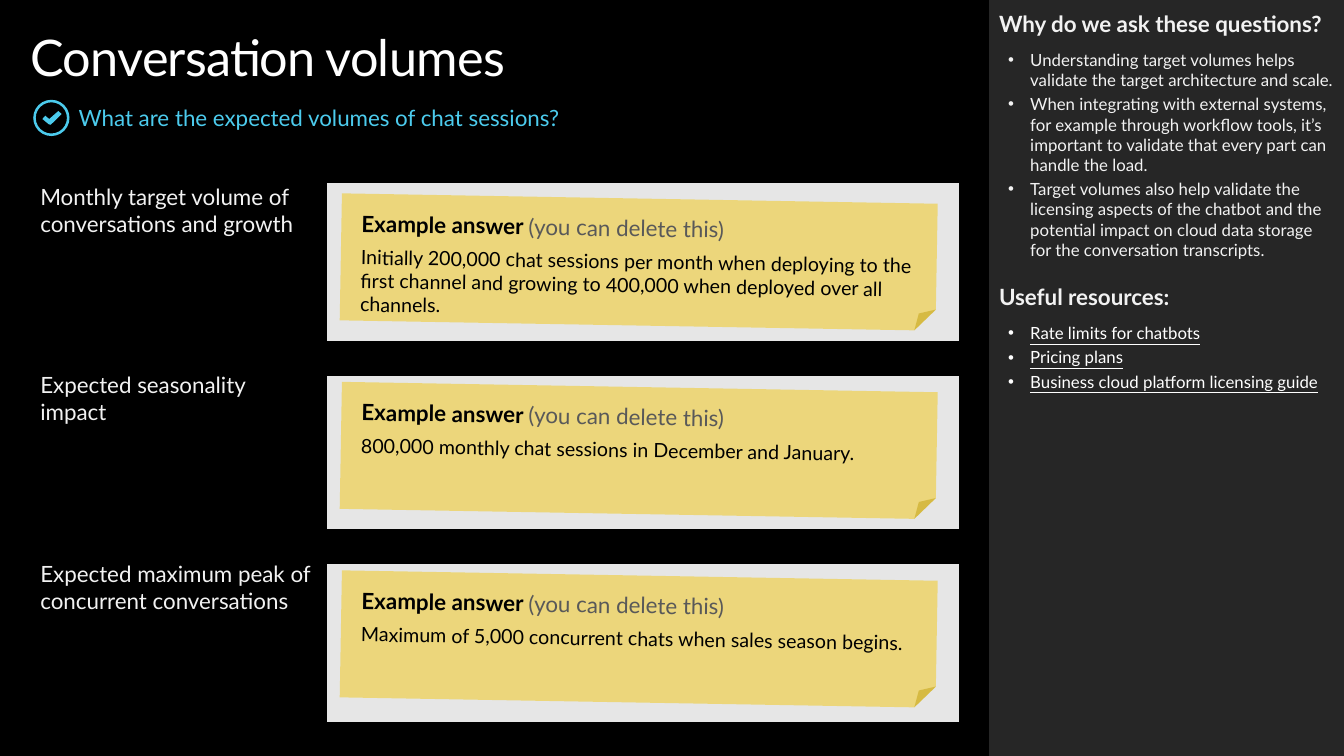
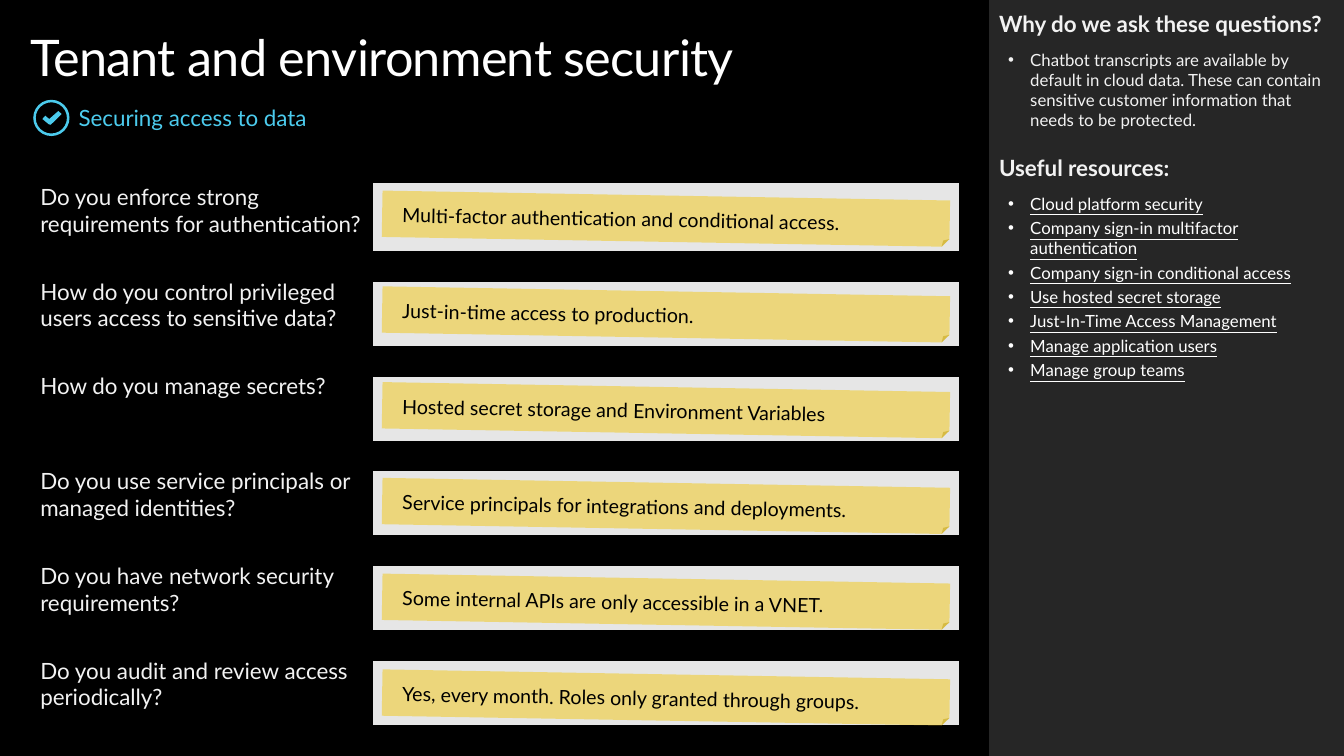
from pptx import Presentation
from pptx import util as u
from pptx.dml.color import RGBColor
from pptx.enum import shapes, text
from pptx.oxml import parse_xml
from pptx.oxml.ns import nsdecls, qn

FONT = "Lato"
BLACK, WHITE, PALE = "000000", "FFFFFF", "F2F2F2"
PANEL, ACCENT, ANSWER = "262626", "4CCBED", "E6E6E6"
NOTE, HINT = "F2C811", "595959"
PLAIN_STYLE = "{2D5ABB26-0587-4C30-8999-92F81FD0307C}"
PANEL_BOX = (9.81, 0, 3.52, 7.5)
TABLE_LEFT, TABLE_TOP, TABLE_WIDTH = 0.4, 1.82, 9.11

HEADING = dict(size=16, color=PALE, bold=True)
REASON = dict(size=12, color=PALE)
LINK = dict(size=12, color=WHITE, underline=True)
LABEL = dict(size=16, color=PALE)
BODY = dict(size=14, color=BLACK)
EXAMPLE = [("Example answer ", dict(size=16, color=BLACK, bold=True)),
           ("(you can delete this)", dict(size=16, color=HINT))]


def rgb(value):
    return RGBColor.from_string(value)


def inches(box):
    return [u.Inches(v) for v in box]


def paint(sp, color):
    sp.shadow.inherit = False
    sp.fill.solid()
    sp.fill.fore_color.rgb = rgb(color)
    sp.line.fill.background()
    return sp


def set_frame(tf, insets):
    sides = ("margin_left", "margin_top", "margin_right", "margin_bottom")
    for side, value in zip(sides, insets):
        setattr(tf, side, u.Inches(value))
    tf.word_wrap = True


def add_run(p, wording, fmt):
    r = p.add_run()
    r.text = wording
    values = {"name": FONT, "bold": False, **fmt}
    r.font.color.rgb = rgb(values.pop("color"))
    r.font.size = u.Pt(values.pop("size"))
    for name, value in values.items():
        setattr(r.font, name, value)
    return r


def add_paragraph(tf, runs, before=0, after=0, bullet=False):
    first = tf.paragraphs[0]
    p = first if not first.runs else tf.add_paragraph()
    p.alignment = text.PP_ALIGN.LEFT
    p.space_before, p.space_after = u.Pt(before), u.Pt(after)
    if bullet:
        pPr = p._p.get_or_add_pPr()
        pPr.set("marL", str(u.Inches(0.31)))
        pPr.set("indent", str(u.Inches(-0.22)))
        pPr.append(parse_xml(f'<a:buFont {nsdecls("a")} typeface="Arial"/>'))
        pPr.append(parse_xml(f'<a:buChar {nsdecls("a")} char="•"/>'))
    for wording, fmt in runs:
        add_run(p, wording, fmt)
    return p


def add_text(s, box, insets=(0, 0, 0, 0), anchor=text.MSO_ANCHOR.TOP):
    tf = s.shapes.add_textbox(*inches(box)).text_frame
    set_frame(tf, insets)
    tf.vertical_anchor = anchor
    return tf


def add_check_icon(s, left, top, size):
    ring = s.shapes.add_shape(shapes.MSO_SHAPE.DONUT, *inches((left, top, size, size)))
    ring.adjustments[0] = 0.07
    paint(ring, ACCENT)
    tick = [(0.69, 0.31), (0.44, 0.53), (0.33, 0.44), (0.25, 0.53),
            (0.42, 0.67), (0.47, 0.69), (0.53, 0.64), (0.78, 0.39)]
    points = [inches((left + x * size, top + y * size)) for x, y in tick]
    builder = s.shapes.build_freeform(*points[0])
    builder.add_line_segments(points[1:], close=True)
    paint(builder.convert_to_shape(), ACCENT)


def add_header(s, title, subtitle):
    p = add_paragraph(add_text(s, (0.3, 0.26, 9.21, 0.61)),
                      [(title, dict(size=36, color=WHITE))])
    p.runs[0]._r.get_or_add_rPr().set("spc", "-50")
    add_check_icon(s, 0.33, 0.99, 0.36)
    tf = add_text(s, (0.78, 1.03, 8.73, 0.27), anchor=text.MSO_ANCHOR.MIDDLE)
    add_paragraph(tf, [(subtitle, dict(size=16, color=ACCENT))])


def add_panel(s, box, reasons, resources):
    paint(s.shapes.add_shape(shapes.MSO_SHAPE.RECTANGLE, *inches(box)), PANEL)
    tf = add_text(s, box, (0.1, 0.1, 0.08, 0.1))
    sections = [("Why do we ask these questions?", reasons, REASON, 0),
                ("Useful resources:", resources, LINK, 17)]
    for heading, items, fmt, before in sections:
        add_paragraph(tf, [(heading, HEADING)], before=before, after=6)
        for item in items:
            add_paragraph(tf, [(item, fmt)], before=3, bullet=True)


def add_border(cell, tag):
    cell._tc.get_or_add_tcPr().insert(0, parse_xml(
        f'<a:{tag} {nsdecls("a")} w="{u.Pt(6)}"><a:solidFill>'
        f'<a:srgbClr val="{BLACK}"/></a:solidFill></a:{tag}>'))


def shrink_empty(cell):
    p = cell.text_frame.paragraphs[0]
    p._p.append(parse_xml(f'<a:endParaRPr {nsdecls("a")} sz="400"/>'))


def add_questions(s, labels, label_width, row, gap, closed):
    count = 2 * len(labels) - 1
    height = len(labels) * (row + gap) - gap
    frame = s.shapes.add_table(
        count, 2, *inches((TABLE_LEFT, TABLE_TOP, TABLE_WIDTH, height)))
    tbl = frame.table
    tbl.first_row = tbl.horz_banding = False
    tbl._tbl.tblPr.find(qn("a:tableStyleId")).text = PLAIN_STYLE
    for col, width in zip(tbl.columns, (label_width, TABLE_WIDTH - label_width)):
        col.width = u.Inches(width)
    for i in range(count):
        is_gap = i % 2 == 1
        tbl.rows[i].height = u.Inches(gap if is_gap else row)
        for j in range(2):
            cell = tbl.cell(i, j)
            set_frame(cell, (0, 0, 0.1, 0))
            cell.fill.solid()
            cell.fill.fore_color.rgb = rgb(ANSWER if j and not is_gap else BLACK)
            if i < count - 1 or closed:
                add_border(cell, "lnB")
            if i:
                add_border(cell, "lnT")
            if is_gap or j:
                shrink_empty(cell)
        if not is_gap:
            add_paragraph(tbl.cell(i, 0).text_frame, [(labels[i // 2], LABEL)])


def add_note(s, box, top_inset, paragraphs):
    sp = s.shapes.add_shape(shapes.MSO_SHAPE.FOLDED_CORNER, *inches(box))
    paint(sp, NOTE).rotation = 1
    color = sp._element.spPr.find(qn("a:solidFill"))[0]
    color.append(parse_xml(f'<a:alpha {nsdecls("a")} val="50000"/>'))
    tf = sp.text_frame
    set_frame(tf, (0.2, top_inset, 0.2, 0.16))
    tf.vertical_anchor = text.MSO_ANCHOR.TOP
    for runs in paragraphs:
        add_paragraph(tf, runs, after=6)


def add_notes(s, first_box, pitch, top_inset, answers, intro=()):
    left, top, width, height = first_box
    for i, answer in enumerate(answers):
        add_note(s, (left, top + i * pitch, width, height), top_inset,
                 [*intro, [(answer, BODY)]])


def add_question_slide(prs, title, subtitle, reasons, resources, rows, grid, notes):
    s = prs.slides.add_slide(prs.slide_layouts[6])
    s.background.fill.solid()
    s.background.fill.fore_color.rgb = rgb(BLACK)
    add_panel(s, PANEL_BOX, reasons, resources)
    add_header(s, title, subtitle)
    labels, answers = zip(*rows)
    add_questions(s, labels, **grid)
    add_notes(s, answers=answers, **notes)


def main():
    prs = Presentation()
    prs.slide_width, prs.slide_height = inches((13.33, 7.5))
    add_question_slide(
        prs, "Conversation volumes", "What are the expected volumes of chat sessions?",
        ["Understanding target volumes helps validate the target architecture and scale.",
         "When integrating with external systems, for example through workflow tools, "
         "it’s important to validate that every part can handle the load.",
         "Target volumes also help validate the licensing aspects of the chatbot and the "
         "potential impact on cloud data storage for the conversation transcripts."],
        ["Rate limits for chatbots", "Pricing plans",
         "Business cloud platform licensing guide"],
        [("Monthly target volume of conversations and growth",
          "Initially 200,000 chat sessions per month when deploying to the first channel "
          "and growing to 400,000 when deployed over all channels."),
         ("Expected seasonality impact",
          "800,000 monthly chat sessions in December and January."),
         ("Expected maximum peak of concurrent conversations",
          "Maximum of 5,000 concurrent chats when sales season begins.")],
        dict(label_width=2.84, row=1.6, gap=0.27, closed=False),
        dict(first_box=(3.38, 1.97, 5.91, 1.26), pitch=1.87, top_inset=0.16,
             intro=[EXAMPLE]))
    add_question_slide(
        prs, "Tenant and environment security", "Securing access to data",
        ["Chatbot transcripts are available by default in cloud data. These can contain "
         "sensitive customer information that needs to be protected."],
        ["Cloud platform security", "Company sign-in multifactor authentication",
         "Company sign-in conditional access", "Use hosted secret storage",
         "Just-In-Time Access Management", "Manage application users",
         "Manage group teams"],
        [("Do you enforce strong requirements for authentication?",
          "Multi-factor authentication and conditional access."),
         ("How do you control privileged users access to sensitive data?",
          "Just-in-time access to production."),
         ("How do you manage secrets?", "Hosted secret storage and Environment Variables"),
         ("Do you use service principals or managed identities?",
          "Service principals for integrations and deployments."),
         ("Do you have network security requirements?",
          "Some internal APIs are only accessible in a VNET."),
         ("Do you audit and review access periodically?",
          "Yes, every month. Roles only granted through groups.")],
        dict(label_width=3.3, row=0.71, gap=0.23, closed=True),
        dict(first_box=(3.79, 1.94, 5.63, 0.46), pitch=0.95, top_inset=0.12))
    prs.save("out.pptx")


if __name__ == "__main__":
    main()
